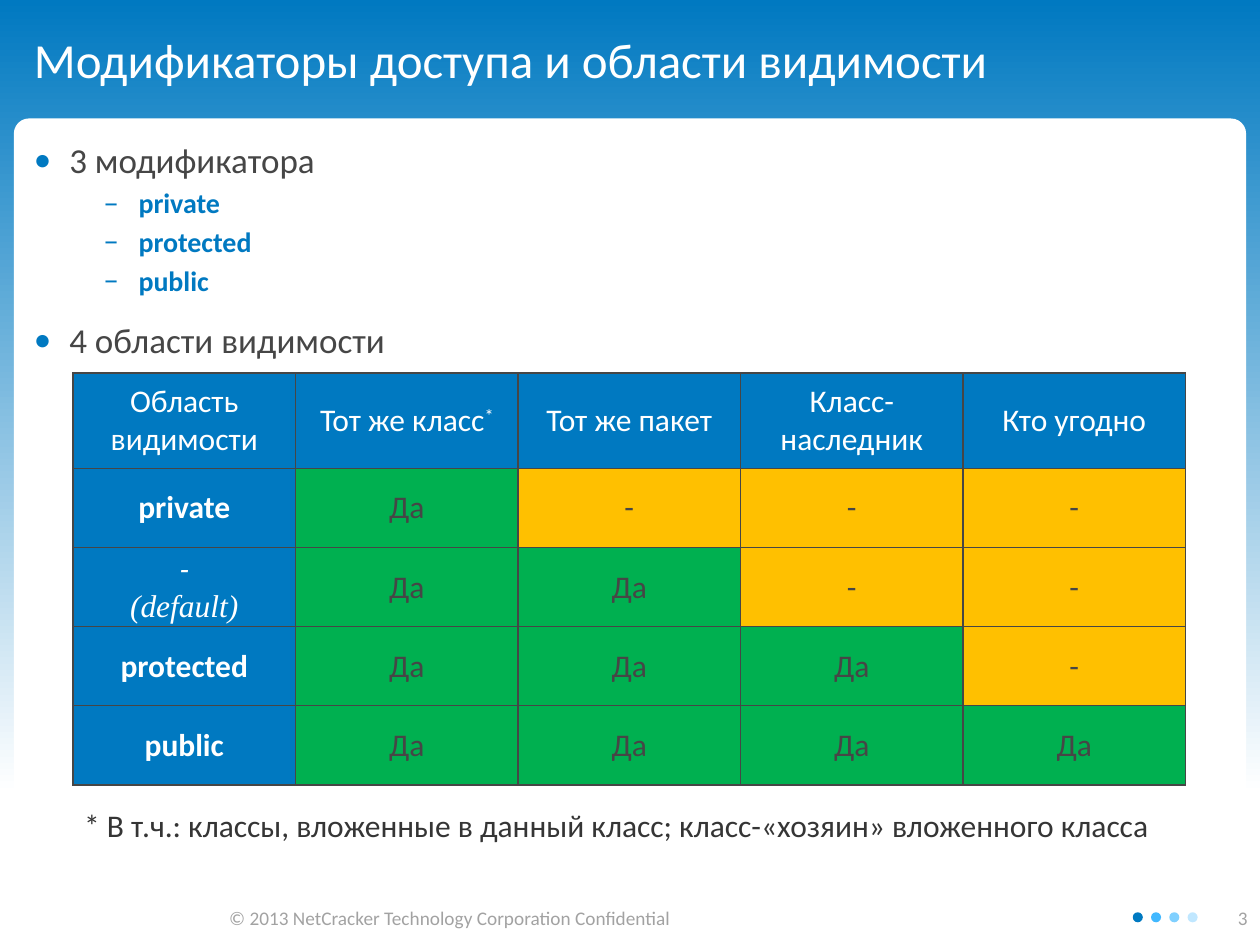
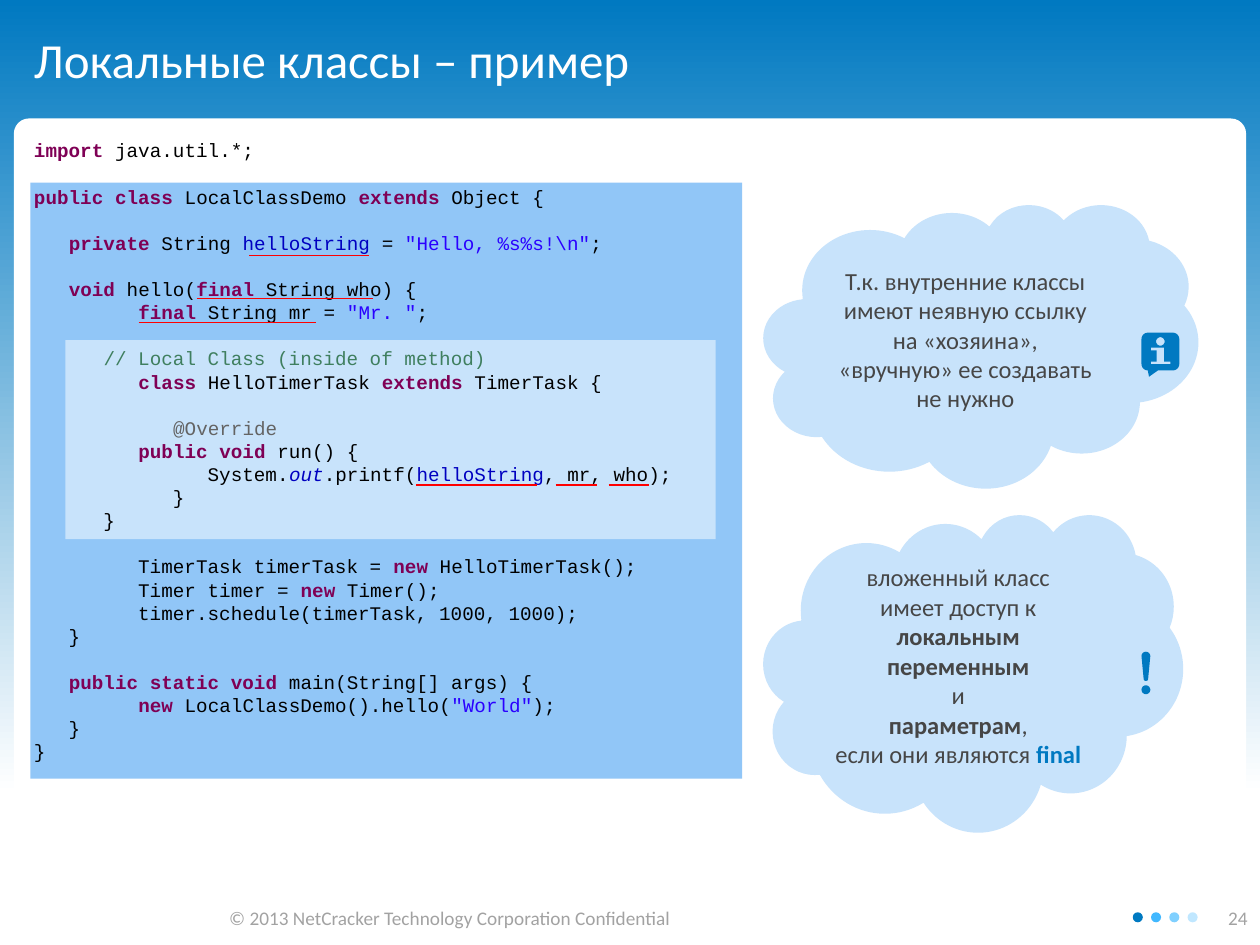
from dataclasses import dataclass
from math import cos, radians, sin

from lxml.etree import SubElement
from pptx import Presentation
from pptx.dml.color import RGBColor
from pptx.enum.shapes import MSO_CONNECTOR, MSO_SHAPE
from pptx.enum.text import MSO_ANCHOR, PP_ALIGN
from pptx.oxml.ns import qn
from pptx.util import Inches, Pt

COLUMNS, ROWS = 100, 75
UNIT = Inches(0.1)
BLUE, SKY, PALE = "0079C1", "91C6F7", "C8E3FB"
WHITE, INK, GREY = "FFFFFF", "464646", "A2A2A2"
GREEN, AMBER, RED = "00B050", "FFC000", "FF0000"
DOTS = [BLUE, "41B8FF", "80D0FF", "C0E7FF"]
COPYRIGHT = "© 2013 NetCracker Technology Corporation Confidential"


@dataclass
class Box:
    col: float
    row: float
    cols: float
    rows: float

    def inside(self, col, row, cols, rows):
        return Box(self.col + col, self.row + row, cols, rows)

    def emu(self):
        return [grid(v) for v in (self.col, self.row, self.cols, self.rows)]


SLIDE = Box(0, 0, COLUMNS, ROWS)
HEADER = SLIDE.inside(1.1, 0, 97.8, 9.4)
CONTENT = SLIDE.inside(1.1, 9.4, 97.8, 60.2)
FOOTER = SLIDE.inside(0, 71.4, COLUMNS, 2.9)

CODE_PITCH = 13.2
CODE_STYLES = {
    "keyword": ("7F0055", True, False),
    "string": ("2A00FF", False, False),
    "comment": ("3F7F5F", False, False),
    "annotation": ("646464", False, False),
    "field": ("0000C0", False, False),
    "static": ("0000C0", False, True),
    "plain": ("000000", False, False),
}
KEYWORDS = {"import", "public class", "extends", "private", "void", "final", "class",
            "public void", "new", "public static void"}
LOCAL_CLASS_DEMO = r'''
|import| java.util.*;

|public class| LocalClassDemo |extends| Object {

   |private| String |helloString| = |"Hello, %s%s!\n"|;

   |void| hello(|final| String who) {
         |final| String mr = |"Mr. "|;

      |// Local Class (inside of method)
         |class| HelloTimerTask |extends| TimerTask {

            |@Override
         |public void| run() {
               System.|out|.printf(|helloString|, mr, who);
            }
      }

         TimerTask timerTask = |new| HelloTimerTask();
         Timer timer = |new| Timer();
         timer.schedule(timerTask, 1000, 1000);
   }

   |public static void| main(String[] args) {
         |new| LocalClassDemo().hello(|"World"|);
   }
}
'''
UNDERLINES = [(18.7, 10.9, 9.5), (14.5, 14.3, 14), (9.9, 16.2, 14.1),
              (31.9, 29.1, 9.6), (43, 29.1, 3.3), (47.2, 29.1, 3.2)]


def grid(length):
    return int(round(length * UNIT))


def color(value):
    return RGBColor.from_string(value)


def add_run(paragraph, text, size, tint, bold=False, italic=False, font="Calibri"):
    run = paragraph.add_run()
    run.text = text
    run.font.size, run.font.name = Pt(size), font
    run.font.bold, run.font.italic = bold, italic
    run.font.color.rgb = color(tint)
    return run


def next_paragraph(frame, index):
    return frame.add_paragraph() if index else frame.paragraphs[0]


def set_margins(target, left, top, right, bottom):
    target.margin_left, target.margin_top = grid(left), grid(top)
    target.margin_right, target.margin_bottom = grid(right), grid(bottom)


def text_area(slide, box, margins=(1, 0.5, 1, 0.5), anchor=MSO_ANCHOR.TOP):
    frame = slide.shapes.add_textbox(*box.emu()).text_frame
    frame.word_wrap = True
    frame.vertical_anchor = anchor
    set_margins(frame, *margins)
    return frame


def paint(shape, fill):
    shape.shadow.inherit = False
    shape.fill.solid()
    shape.fill.fore_color.rgb = color(fill)
    shape.line.fill.background()
    return shape


def add_block(slide, kind, box, fill):
    return paint(slide.shapes.add_shape(kind, *box.emu()), fill)


def add_label(slide, box, text, size, tint, align=PP_ALIGN.LEFT, **area):
    paragraph = text_area(slide, box, **area).paragraphs[0]
    paragraph.alignment = align
    add_run(paragraph, text, size, tint)


def add_backdrop(slide):
    fill = slide.background.fill
    fill.gradient()
    fill.gradient_angle = 90
    for stop, (position, tint) in zip(fill.gradient_stops, [(0.16, WHITE), (1, BLUE)]):
        stop.position = position
        stop.color.rgb = color(tint)


def add_footer(slide, box, number):
    add_label(slide, box.inside(90.6, 0, 9.4, box.rows), number, 11, GREY, PP_ALIGN.RIGHT)
    add_label(slide, box.inside(17.2, 0, 41.6, box.rows), COPYRIGHT, 11, GREY)
    for index, tint in enumerate(DOTS):
        add_block(slide, MSO_SHAPE.OVAL, box.inside(89.9 + 1.45 * index, 1, 0.8, 0.8), tint)


def new_slide(deck, title, number):
    slide = deck.slides.add_slide(deck.slide_layouts[6])
    add_backdrop(slide)
    add_footer(slide, FOOTER, number)
    panel = add_block(slide, MSO_SHAPE.ROUNDED_RECTANGLE, CONTENT, WHITE)
    panel.adjustments[0] = 0.02
    add_label(slide, HEADER, title, 28, WHITE,
              margins=(1.6, 0.5, 1, 0.5), anchor=MSO_ANCHOR.MIDDLE)
    return slide


def add_bullet(paragraph, mark, indent, percent):
    props = paragraph._p.get_or_add_pPr()
    props.set("marL", str(grid(indent)))
    props.set("indent", str(grid(-2.8)))
    SubElement(SubElement(props, qn("a:buClr")), qn("a:srgbClr")).set("val", BLUE)
    SubElement(props, qn("a:buSzPct")).set("val", str(percent * 1000))
    SubElement(props, qn("a:buFont")).set("typeface", "Calibri")
    SubElement(props, qn("a:buChar")).set("char", mark)


def add_modifiers(slide, box):
    frame = text_area(slide, box, (1.6, 1.6, 1.6, 0.5))
    outline = [(1, "3 модификатора"), (2, "private"), (2, "protected"), (2, "public"),
               (1, "4 области видимости")]
    for index, (level, text) in enumerate(outline):
        paragraph = next_paragraph(frame, index)
        if level == 1:
            add_bullet(paragraph, "•", 2.8, 100)
            add_run(paragraph, text, 20, INK)
        else:
            add_bullet(paragraph, "‒", 8.3, 110)
            add_run(paragraph, text, 16, BLUE, bold=True)
        if index:
            paragraph.space_before = Pt(12 if level == 1 else 3)


def fill_cell(cell, fill):
    props = cell._tc.get_or_add_tcPr()
    for side in ("a:lnL", "a:lnR", "a:lnT", "a:lnB"):
        border = SubElement(props, qn(side))
        border.set("w", str(Pt(1)))
        SubElement(SubElement(border, qn("a:solidFill")), qn("a:srgbClr")).set("val", INK)
    cell.fill.solid()
    cell.fill.fore_color.rgb = color(fill)
    cell.vertical_anchor = MSO_ANCHOR.MIDDLE
    set_margins(cell, 0.7, 0, 0.7, 0)


def write_cell(cell, fill, lines):
    fill_cell(cell, fill)
    for index, (text, tint, style) in enumerate(lines):
        paragraph = next_paragraph(cell.text_frame, index)
        paragraph.alignment = PP_ALIGN.CENTER
        add_run(paragraph, text, 18, tint, **style)


def add_visibility_table(slide, box):
    headings = ["Область видимости", "Тот же класс", "Тот же пакет",
                "Класс-наследник", "Кто угодно"]
    bold = {"bold": True}
    scopes = [
        ([("private", WHITE, bold)], 1),
        ([("-", WHITE, {"italic": True}),
          ("(default)", WHITE, {"italic": True, "font": "Times New Roman"})], 2),
        ([("protected", WHITE, bold)], 3),
        ([("public", WHITE, bold)], 4),
    ]
    table = slide.shapes.add_table(len(scopes) + 1, len(headings), *box.emu()).table
    table.first_row = table.horz_banding = False
    heading_rows = 7.6
    for index, row in enumerate(table.rows):
        row.height = grid((box.rows - heading_rows) / len(scopes) if index else heading_rows)
    for index, heading in enumerate(headings):
        write_cell(table.cell(0, index), BLUE, [(heading, WHITE, {})])
    star = add_run(table.cell(0, 1).text_frame.paragraphs[0], "*", 18, WHITE)
    star._r.get_or_add_rPr().set("baseline", "30000")
    for row, (scope, reach) in enumerate(scopes, 1):
        write_cell(table.cell(row, 0), BLUE, scope)
        for column in range(1, len(headings)):
            answer, fill = ("Да", GREEN) if column <= reach else ("-", AMBER)
            write_cell(table.cell(row, column), fill, [(answer, INK, {})])


def code_style(piece):
    if piece in KEYWORDS:
        return CODE_STYLES["keyword"]
    starts = {'"': "string", "/": "comment", "@": "annotation"}
    names = {"helloString": "field", "out": "static"}
    return CODE_STYLES[names.get(piece) or starts.get(piece[:1], "plain")]


def add_code(slide, box):
    add_block(slide, MSO_SHAPE.RECTANGLE, box.inside(1.3, 5.1, 56.5, 47.3), SKY)
    add_block(slide, MSO_SHAPE.RECTANGLE, box.inside(4.1, 17.6, 51.6, 15.8), PALE)
    frame = text_area(slide, box, (1.6, 1.6, 1.6, 0.5))
    count, gap = 0, False
    for line in LOCAL_CLASS_DEMO.strip().splitlines():
        if not line:
            gap = True
            continue
        paragraph = next_paragraph(frame, count)
        paragraph.line_spacing = Pt(CODE_PITCH)
        paragraph.space_before = Pt(CODE_PITCH if gap else 0)
        for piece in filter(None, line.split("|")):
            add_run(paragraph, piece, 11, *code_style(piece), font="Courier New")
        count, gap = count + 1, False
    for col, row, length in UNDERLINES:
        left, top, width, _ = box.inside(col, row, length, 0).emu()
        line = slide.shapes.add_connector(MSO_CONNECTOR.STRAIGHT, left, top, left + width, top)
        line.line.color.rgb = color(RED)
        line.line.width = Pt(0.75)
        SubElement(line._element.spPr, qn("a:effectLst"))


def add_cloud(slide, box, lines):
    frame = add_block(slide, MSO_SHAPE.CLOUD, box, PALE).text_frame
    frame.word_wrap = True
    frame.vertical_anchor = MSO_ANCHOR.MIDDLE
    set_margins(frame, 0.8, 0.8, 0.8, 0.8)
    for index, runs in enumerate(lines):
        paragraph = next_paragraph(frame, index)
        paragraph.alignment = PP_ALIGN.CENTER
        for text, tint, bold in runs:
            add_run(paragraph, text, 14, tint, bold)


def arc(x, y, radius, start, end):
    return [(x + radius * cos(radians(a)), y + radius * sin(radians(a)))
            for a in range(start, end + 1, 15)]


def add_icon(slide, box, contours):
    (first, *rest), *others = contours
    builder = slide.shapes.build_freeform(*first, scale=UNIT / 100)
    builder.add_line_segments(rest, close=True)
    for start, *points in others:
        builder.move_to(*start)
        builder.add_line_segments(points, close=True)
    left, top, _, _ = box.emu()
    paint(builder.convert_to_shape(left, top), BLUE)


def info_contours():
    bubble = (arc(50, 50, 50, 180, 270) + arc(250, 50, 50, 270, 360) + arc(250, 250, 50, 0, 90)
              + [(130, 300), (60, 350), (50, 300)] + arc(50, 250, 50, 90, 180))
    stem = [(75, 120), (180, 120), (180, 230), (230, 230), (230, 250),
            (75, 250), (75, 230), (120, 230), (120, 140), (75, 140)]
    return [bubble, arc(150, 70, 34, 0, 345), stem]


def exclamation_contours():
    return [arc(35, 305, 35, 0, 345), arc(35, 38, 35, 180, 360) + arc(35, 217, 18, 0, 180)]


def build_visibility_slide(deck):
    slide = new_slide(deck, "Модификаторы доступа и области видимости", "3")
    add_modifiers(slide, CONTENT)
    add_visibility_table(slide, CONTENT.inside(4.7, 20.2, 88.3, 32.7))
    note = "* В т.ч.: классы, вложенные в данный класс; класс-«хозяин» вложенного класса"
    add_label(slide, CONTENT.inside(4.6, 54.1, 88.7, 4), note, 18, "353535")


def build_local_class_slide(deck):
    slide = new_slide(deck, "Локальные классы – пример", "24")
    add_code(slide, CONTENT)
    add_cloud(slide, CONTENT.inside(59.5, 6.8, 34.5, 22.5), [
        [("Т.к. внутренние классы имеют неявную ссылку на «хозяина», "
          "«вручную» ее создавать не нужно", INK, False)]])
    add_cloud(slide, CONTENT.inside(59.5, 31.4, 33.3, 25.2), [
        [("вложенный класс", INK, False)],
        [("имеет доступ к", INK, False)],
        [("локальным переменным", INK, True)],
        [("и", INK, False)],
        [("параметрам", INK, True), (",", INK, False)],
        [("если они являются ", INK, False), ("final", BLUE, True)]])
    add_icon(slide, CONTENT.inside(89.5, 17, 3, 3.5), info_contours())
    add_icon(slide, CONTENT.inside(89.5, 42.3, 0.7, 3.4), exclamation_contours())


def main():
    deck = Presentation()
    deck.slide_width, deck.slide_height = grid(COLUMNS), grid(ROWS)
    build_visibility_slide(deck)
    build_local_class_slide(deck)
    deck.save("out.pptx")


if __name__ == "__main__":
    main()
